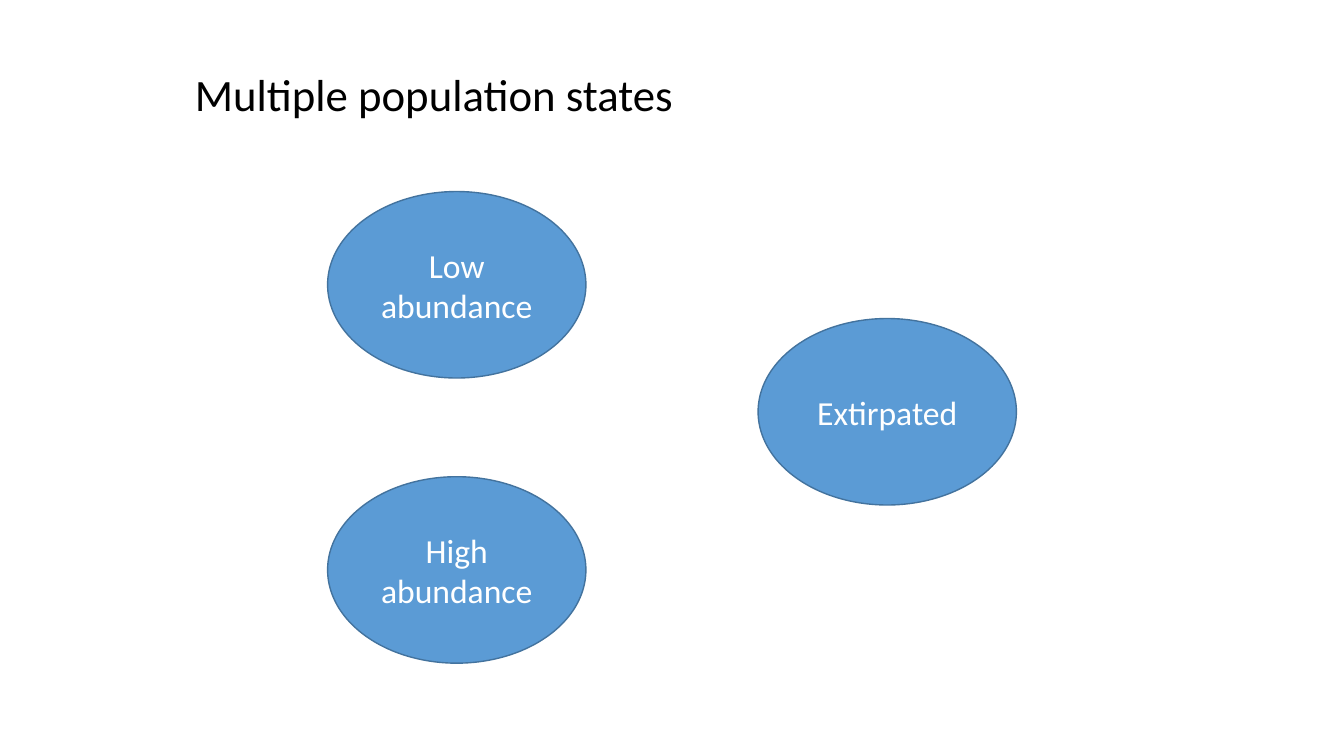
from pptx import Presentation
from pptx.dml.color import RGBColor
from pptx.enum import shapes, text
from pptx.util import Pt

TITLE = "Multiple population states"
# name, left, top in points
STATES = [
    ("Extirpated", 541.5, 227.5),
    ("Low abundance", 234, 136.8),
    ("High abundance", 234, 340.5),
]
STATE_SIZE = (184.5, 133.2)
COLORS = {"title": "000000", "state": "5B9BD5", "outline": "43739E", "label": "FFFFFF"}


def color(name):
    return RGBColor.from_string(COLORS[name])


def write(shape, words, size, color_name, align, spacing):
    frame = shape.text_frame
    frame.text = words
    frame.word_wrap = True
    frame.vertical_anchor = text.MSO_ANCHOR.MIDDLE
    paragraph = frame.paragraphs[0]
    paragraph.alignment = align
    paragraph.line_spacing = spacing
    font = paragraph.runs[0].font
    for key, value in {"name": "Calibri", "size": Pt(size)}.items():
        setattr(font, key, value)
    font.color.rgb = color(color_name)


def add_state(slide, name, left, top):
    state = slide.shapes.add_shape(
        shapes.MSO_SHAPE.OVAL, Pt(left), Pt(top), *map(Pt, STATE_SIZE))
    state.shadow.inherit = False
    state.fill.solid()
    state.fill.fore_color.rgb = color("state")
    state.line.color.rgb = color("outline")
    state.line.width = Pt(1)
    write(state, name, 24, "label", text.PP_ALIGN.CENTER, 1.0)


def main():
    deck = Presentation()
    deck.slide_width, deck.slide_height = Pt(960), Pt(540)
    slide = deck.slides.add_slide(deck.slide_layouts[5])
    title = slide.shapes.title
    place = {"left": 132, "top": 24, "width": 684, "height": 90}
    for key, value in place.items():
        setattr(title, key, Pt(value))
    write(title, TITLE, 32, "title", text.PP_ALIGN.LEFT, 0.9)
    for state in STATES:
        add_state(slide, *state)
    deck.save("out.pptx")


if __name__ == "__main__":
    main()
